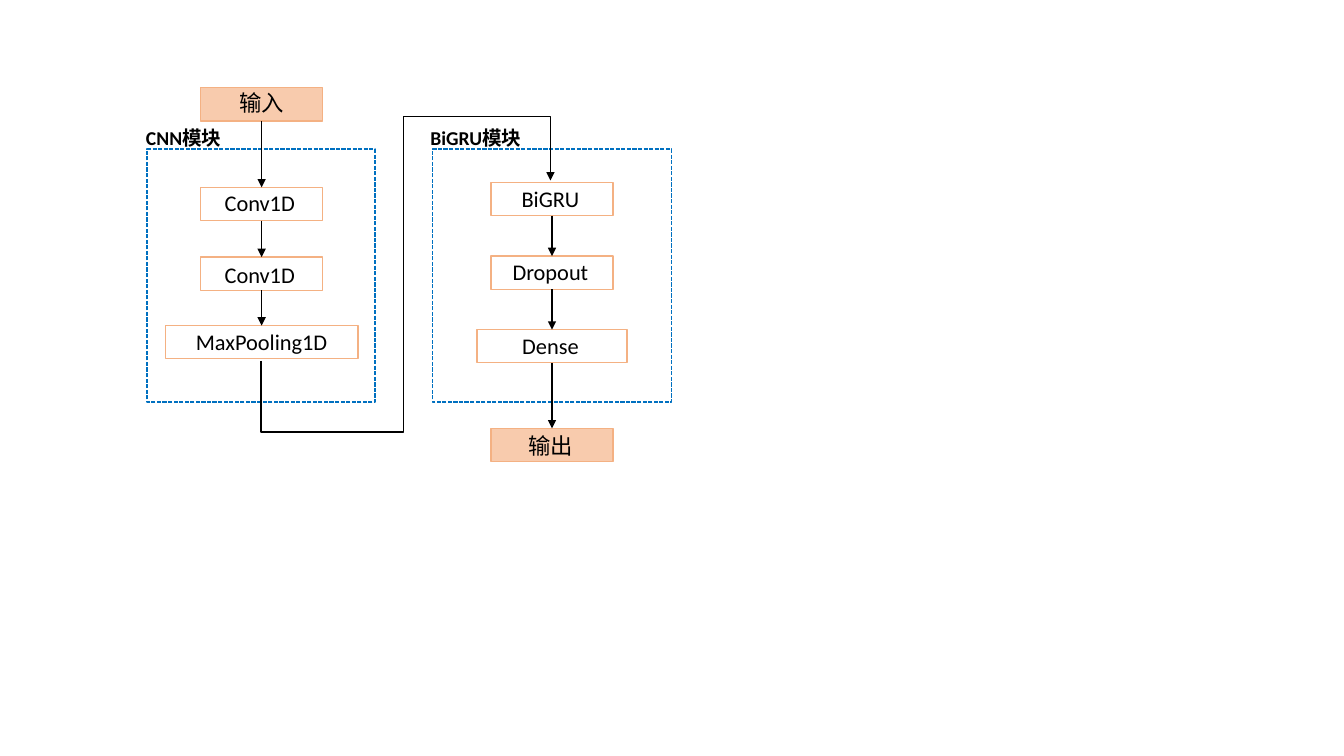
"""Draw the CNN and BiGRU network flow on one slide."""
from dataclasses import dataclass
from itertools import pairwise

from lxml.etree import SubElement
from pptx import Presentation
from pptx.dml.color import RGBColor
from pptx.enum.dml import MSO_LINE
from pptx.enum.shapes import MSO_CONNECTOR, MSO_SHAPE
from pptx.enum.text import MSO_AUTO_SIZE, PP_ALIGN
from pptx.oxml.ns import qn
from pptx.shapes.autoshape import Shape
from pptx.shapes.connector import Connector
from pptx.shapes.shapetree import SlideShapes
from pptx.util import Emu, Pt

EMU_PER_PX = 9144
BLACK = RGBColor(0x00, 0x00, 0x00)
BLUE = RGBColor(0x00, 0x70, 0xC0)
ORANGE = RGBColor(0xF4, 0xB1, 0x83)
PEACH = RGBColor(0xF8, 0xCB, 0xAD)
RECTANGLE = MSO_SHAPE.RECTANGLE
STRAIGHT = MSO_CONNECTOR.STRAIGHT
ELBOW = MSO_CONNECTOR.ELBOW
SYS_DASH = MSO_LINE.SQUARE_DOT
LEFT = PP_ALIGN.LEFT
CENTER = PP_ALIGN.CENTER
GROW = MSO_AUTO_SIZE.SHAPE_TO_FIT_TEXT
BOTTOM_SITE, TOP_SITE = 2, 0
STEP_HEIGHT = 33
MODULE_TOP, MODULE_HEIGHT = 148, 251
STEP_FONT = {"size": Pt(16), "name": "Calibri", "bold": False}
INPUT_FONT = STEP_FONT | {"name": "Noto Sans CJK SC"}
TITLE_FONT = {"size": Pt(14), "name": "Calibri", "bold": True}


@dataclass(frozen=True)
class Caption:
    """Text with its place and format."""
    text: str
    left: int
    top: int
    width: int
    height: int = 37
    align: PP_ALIGN = CENTER
    font: dict | None = None


@dataclass(frozen=True)
class Step:
    """One box of the flow with its caption."""
    left: int
    top: int
    width: int
    caption: Caption
    fill: RGBColor | None = None


@dataclass(frozen=True)
class Module:
    """A dashed frame with its title."""
    left: int
    width: int
    title: Caption


MODULES = [
    Module(146, 226, Caption("CNN模块", 135, 120, 163, 34, LEFT, TITLE_FONT)),
    Module(429, 237, Caption("BiGRU模块", 417, 120, 163, 34, LEFT, TITLE_FONT)),
]
CNN_STEPS = [
    Step(199, 87, 121, Caption("输入", 191, 84, 137, font=INPUT_FONT), PEACH),
    Step(199, 186, 121, Caption("Conv1D", 213, 183, 106, align=LEFT)),
    Step(199, 255, 121, Caption("Conv1D", 213, 254, 106, align=LEFT)),
    Step(164, 323, 191, Caption("MaxPooling1D", 176, 321, 167)),
]
BIGRU_STEPS = [
    Step(487, 181, 121, Caption("BiGRU", 493, 179, 106)),
    Step(487, 254, 121, Caption("Dropout", 493, 251, 106)),
    Step(473, 327, 149, Caption("Dense", 493, 325, 106)),
    Step(487, 425, 121, Caption("输出", 478, 424, 137), PEACH),
]
FLOWS = [
    (CNN_STEPS, [0.75, 0.75, 1]),
    (BIGRU_STEPS, [1, 1, 1]),
]
BRIDGE_ENDS = (492, 412, 313, 125)
BRIDGE_BENDS = {"adj1": -39500, "adj2": 49300, "adj3": 135400}


def px(*lengths: int) -> list[Emu]:
    """Turn px lengths into EMU."""
    return [Emu(length * EMU_PER_PX) for length in lengths]


def set_all(target: object, values: dict) -> None:
    """Set every named attribute on the target."""
    for name, value in values.items():
        setattr(target, name, value)


def add_box(shapes: SlideShapes, box: tuple[int, int, int, int],
            color: RGBColor, fill: RGBColor | None = None) -> Shape:
    """Add an outlined rectangle."""
    rectangle = shapes.add_shape(RECTANGLE, *px(*box))
    rectangle.shadow.inherit = False
    if fill is None:
        rectangle.fill.background()
    else:
        rectangle.fill.solid()
        rectangle.fill.fore_color.rgb = fill
    rectangle.line.color.rgb = color
    rectangle.line.width = Pt(1)
    return rectangle


def add_caption(shapes: SlideShapes, caption: Caption) -> None:
    """Add a text box for a caption."""
    place = px(caption.left, caption.top, caption.width, caption.height)
    frame = shapes.add_textbox(*place).text_frame
    set_all(frame, {"word_wrap": True, "auto_size": GROW, "text": caption.text})
    paragraph = frame.paragraphs[0]
    paragraph.alignment = caption.align
    font = paragraph.runs[0].font
    set_all(font, caption.font or STEP_FONT)
    font.color.rgb = BLACK


def style_arrow(arrow: Connector, weight: float) -> None:
    """Give a connector a black line and a triangle head."""
    arrow.line.color.rgb = BLACK
    arrow.line.width = Pt(weight)
    properties = arrow.element.spPr
    SubElement(properties.find(qn("a:ln")), qn("a:tailEnd"), type="triangle")
    SubElement(properties, qn("a:effectLst"))


def add_flow(shapes: SlideShapes, steps: list[Step], weights: list[float]) -> None:
    """Add a column of steps, its arrows and its captions."""
    boxes = [add_box(shapes, (step.left, step.top, step.width, STEP_HEIGHT),
                     ORANGE, step.fill) for step in steps]
    for (upper, lower), weight in zip(pairwise(boxes), weights):
        arrow = shapes.add_connector(STRAIGHT, 0, 0, 0, 0)
        arrow.begin_connect(upper, BOTTOM_SITE)
        arrow.end_connect(lower, TOP_SITE)
        style_arrow(arrow, weight)
    for step in steps:
        add_caption(shapes, step.caption)


def add_bridge(shapes: SlideShapes) -> None:
    """Add the bent arrow from the CNN column to the BiGRU column."""
    bridge = shapes.add_connector(ELBOW, *px(*BRIDGE_ENDS))
    style_arrow(bridge, 1)
    properties = bridge.element.spPr
    properties.find(qn("a:xfrm")).set("rot", "5400000")
    geometry = properties.find(qn("a:prstGeom"))
    geometry.set("prst", "bentConnector5")
    bends = geometry.find(qn("a:avLst"))
    for name, value in BRIDGE_BENDS.items():
        SubElement(bends, qn("a:gd"), name=name, fmla=f"val {value}")


def main() -> None:
    """Build and save the slide."""
    deck = Presentation()
    deck.slide_width, deck.slide_height = px(1333, 750)
    shapes = deck.slides.add_slide(deck.slide_layouts[6]).shapes
    for module in MODULES:
        frame = (module.left, MODULE_TOP, module.width, MODULE_HEIGHT)
        add_box(shapes, frame, BLUE).line.dash_style = SYS_DASH
        add_caption(shapes, module.title)
    for steps, weights in FLOWS:
        add_flow(shapes, steps, weights)
    add_bridge(shapes)
    deck.save("out.pptx")


if __name__ == "__main__":
    main()
